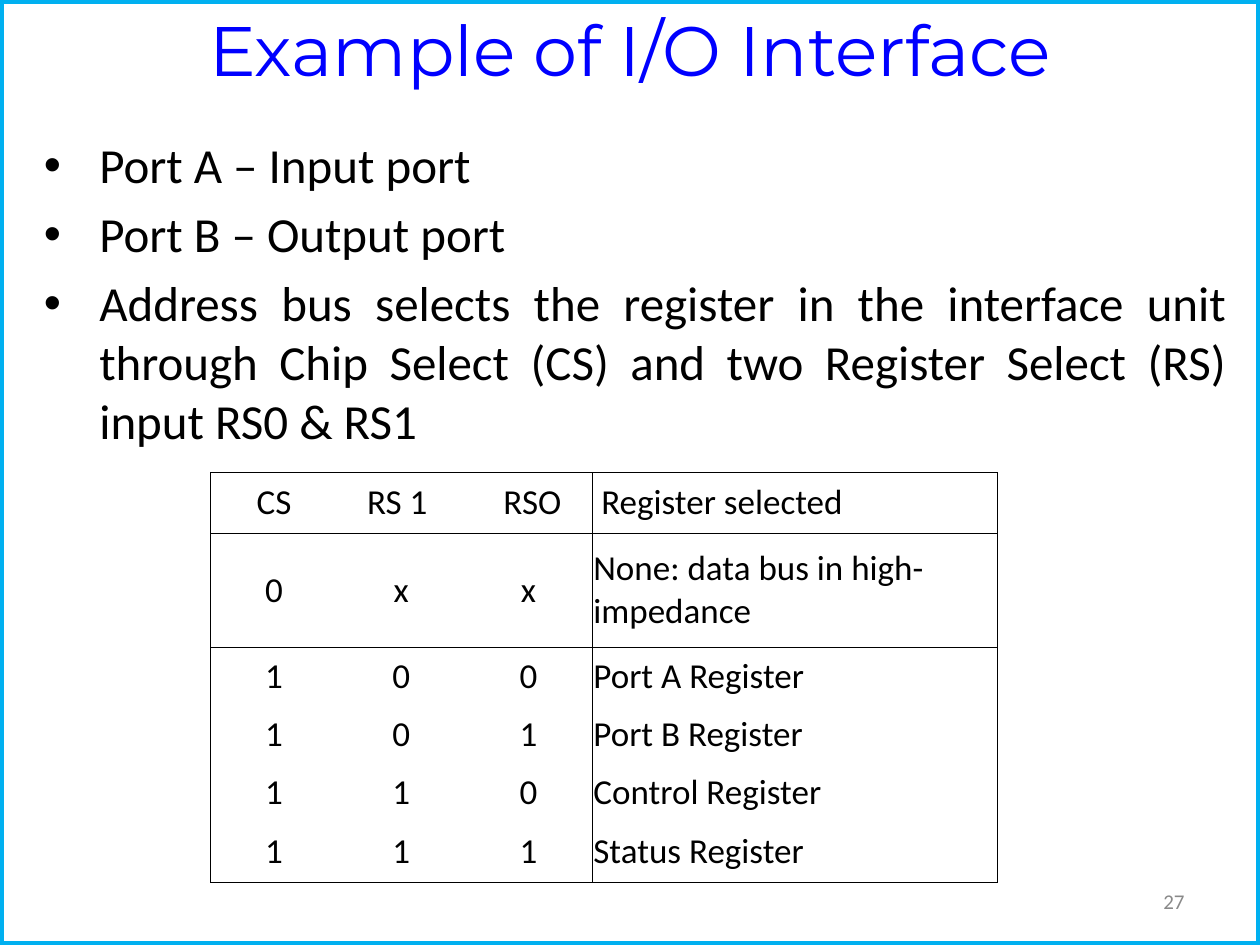
from lxml import etree
from pptx import Presentation
from pptx import util as u
from pptx.dml.color import RGBColor
from pptx.enum import shapes, text
from pptx.oxml import ns

BLACK, BLUE, GREY, CYAN = "000000", "0000FF", "898989", "00B0F0"
ALIGN, ANCHOR = text.PP_ALIGN, text.MSO_ANCHOR


def color(hex_string):
    return RGBColor.from_string(hex_string)


def write(paragraph, wording, size, align, hex_string=BLACK, face="Calibri"):
    paragraph.text = wording
    paragraph.alignment = align
    for name, value in {"size": u.Pt(size), "name": face}.items():
        setattr(paragraph.font, name, value)
    paragraph.font.color.rgb = color(hex_string)


prs = Presentation()
prs.slide_width, prs.slide_height = u.Inches(10), u.Inches(7.5)
slide = prs.slides.add_slide(prs.slide_layouts[6])

# Bullets
points = [
    "Port A – Input port",
    "Port B – Output port",
    "Address bus selects the register in the interface unit through "
    "Chip Select (CS) and two Register Select (RS) input RS0 & RS1",
]
body = slide.shapes.add_textbox(
    u.Inches(0), u.Inches(1.02), u.Inches(9.83), u.Inches(4.7)).text_frame
body.word_wrap = True
for i, point in enumerate(points):
    paragraph = body.paragraphs[0] if i == 0 else body.add_paragraph()
    properties = paragraph._p.get_or_add_pPr()
    properties.set("marL", str(u.Inches(0.69)))
    properties.set("indent", str(u.Inches(-0.44)))
    bullet_font = etree.SubElement(properties, ns.qn("a:buFont"))
    bullet_font.set("typeface", "Arial")
    etree.SubElement(properties, ns.qn("a:buChar")).set("char", "•")
    write(paragraph, point, 28, ALIGN.JUSTIFY)
    if i:
        paragraph.space_before = u.Pt(5.8)

# Title and page number
for box, anchor, entry in [
    ((0, 0, 10, 1), ANCHOR.TOP,
     ("Example of I/O Interface", 40, ALIGN.CENTER, BLUE, "Montserrat")),
    ((7.17, 6.95, 2.33, 0.4), ANCHOR.MIDDLE,
     ("27", 12, ALIGN.RIGHT, GREY)),
]:
    frame = slide.shapes.add_textbox(*map(u.Inches, box)).text_frame
    frame.word_wrap = True
    frame.vertical_anchor = anchor
    write(frame.paragraphs[0], *entry)

# Register selection table
registers = [
    ("CS", "RS 1 ", " RSO", " Register selected"),
    ("0", "x", "x", "None: data bus in high-impedance"),
    ("1", "0", "0", "Port A Register"),
    ("1", "0", "1", "Port B Register"),
    ("1", "1", "0", "Control Register"),
    ("1", "1", "1", "Status Register"),
]
widths = [1.01, 1.01, 1.01, 3.22]
heights = [0.48, 0.91, 0.46, 0.46, 0.46, 0.48]
last_row, last_col = len(heights) - 1, len(widths) - 1
table = slide.shapes.add_table(
    len(heights), len(widths), u.Inches(1.67), u.Inches(3.75),
    u.Inches(sum(widths)), u.Inches(sum(heights))).table
table.first_row = table.horz_banding = False
style = table._tbl.tblPr.find(ns.qn("a:tableStyleId"))
style.text = "{2D5ABB26-0587-4C30-8999-92F81FD0307C}"  # no style, no grid
for column, width in zip(table.columns, widths):
    column.width = u.Inches(width)
for row, height in zip(table.rows, heights):
    row.height = u.Inches(height)

cell_format = {
    "margin_left": u.Inches(0.01), "margin_right": u.Inches(0.01),
    "margin_top": u.Inches(0.05), "margin_bottom": u.Inches(0.05),
    "vertical_anchor": ANCHOR.MIDDLE,
}
for r, register in enumerate(registers):
    for c, wording in enumerate(register):
        cell = table.cell(r, c)
        for name, value in cell_format.items():
            setattr(cell, name, value)
        cell.fill.background()
        write(cell.text_frame.paragraphs[0], wording, 20,
              ALIGN.LEFT if c == last_col else ALIGN.CENTER)
        # Frame around the table, a rule under the header, a rule before the names
        edges = {
            "a:lnL": c in (0, last_col),
            "a:lnR": c in (last_col - 1, last_col),
            "a:lnT": r in (0, 1),
            "a:lnB": r in (0, last_row),
        }
        drawn = [tag for tag, shown in edges.items() if shown]
        cell_properties = cell._tc.get_or_add_tcPr()
        for position, tag in enumerate(drawn):
            edge = etree.Element(ns.qn(tag), w=str(u.Pt(0.45)))
            fill = etree.SubElement(edge, ns.qn("a:solidFill"))
            etree.SubElement(fill, ns.qn("a:srgbClr")).set("val", BLACK)
            cell_properties.insert(position, edge)

# Slide border
border = slide.shapes.add_shape(
    shapes.MSO_SHAPE.RECTANGLE, 0, 0, prs.slide_width, prs.slide_height)
border.shadow.inherit = False
border.fill.background()
border.line.color.rgb = color(CYAN)
border.line.width = u.Pt(4.5)

prs.save("out.pptx")
